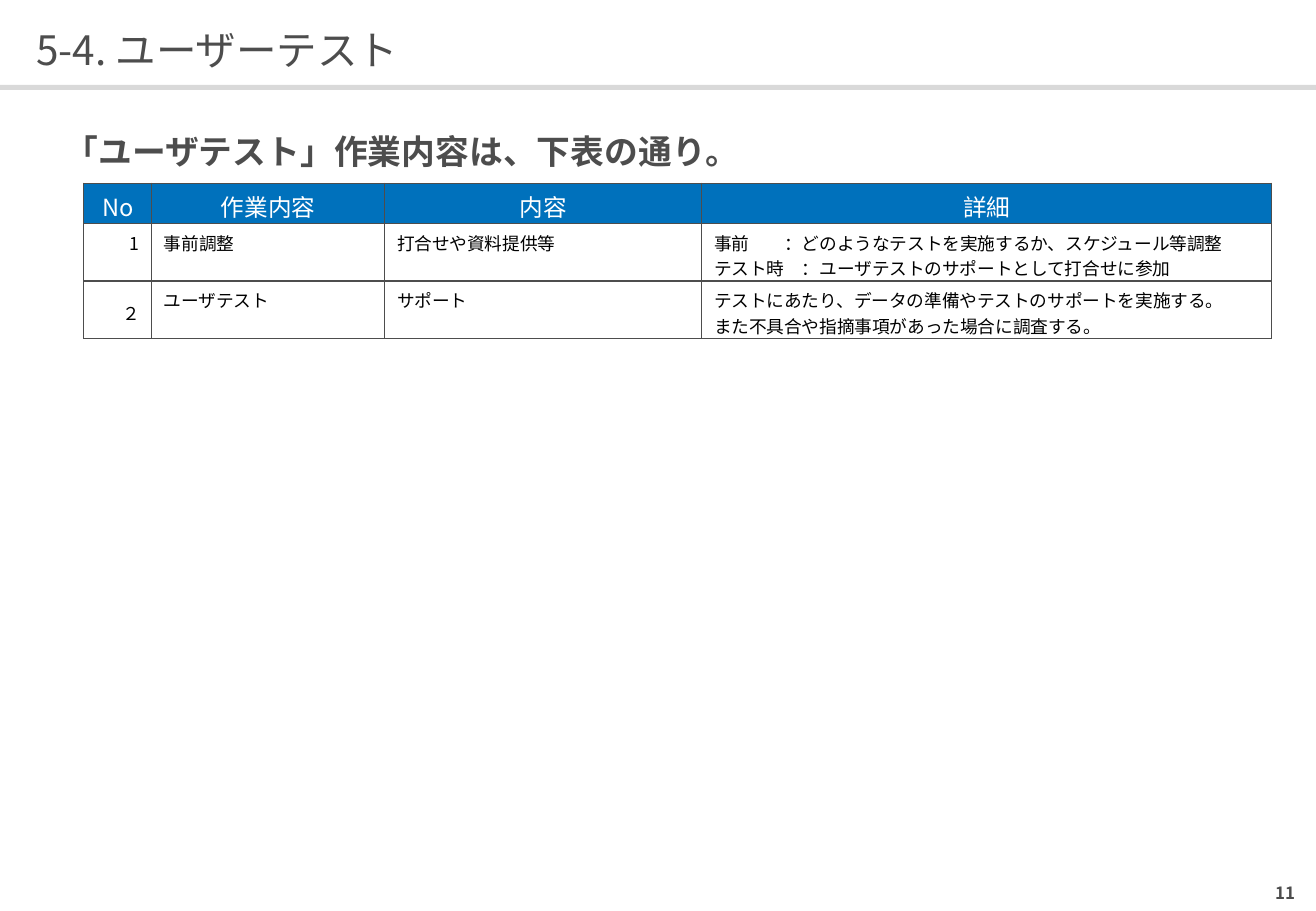
from dataclasses import dataclass

from pptx import Presentation
from pptx import util as u
from pptx.dml.color import RGBColor
from pptx.enum import shapes, text
from pptx.oxml import ns
from lxml import etree

Pt = u.Pt
ALIGN = text.PP_ALIGN
ANCHOR = text.MSO_ANCHOR


@dataclass(frozen=True)
class Theme:
    font: str = "Noto Sans CJK JP"
    gray: str = "4D4D4D"
    rule: str = "D9D9D9"
    blue: str = "0071BC"
    white: str = "FFFFFF"
    black: str = "000000"
    title_size: float = 24
    lead_size: float = 20
    header_size: float = 14
    body_size: float = 10.5
    page_size: float = 10
    border: float = 0.75


THEME = Theme()
TITLE_ONLY = 5

COLUMN_WIDTHS = [40.3, 138.2, 187.9, 337.7]
ROW_HEIGHTS = [24.2, 32.2, 32.2]
HEADER = ["No", "作業内容", "内容", "詳細"]
TASKS = [
    ["1", "事前調整", "打合せや資料提供等",
     "事前　　：どのようなテストを実施するか、スケジュール等調整\n"
     "テスト時　：ユーザテストのサポートとして打合せに参加"],
    ["２", "ユーザテスト", "サポート",
     "テストにあたり、データの準備やテストのサポートを実施する。\n"
     "また不具合や指摘事項があった場合に調査する。"],
]


def write(frame, content, *, size, color, bold=False, align=ALIGN.LEFT,
          line_spacing=None, space_after=None):
    """Fill a text frame, one paragraph for each line of content."""
    frame.text = content
    for para in frame.paragraphs:
        para.alignment = align
        para.line_spacing = line_spacing
        para.space_after = space_after
        for span in para.runs:
            font = span.font
            font.name = THEME.font
            font.size = Pt(size)
            font.bold = bold
            font.color.rgb = RGBColor.from_string(color)
            east_asian = etree.SubElement(font._element, ns.qn("a:ea"))
            east_asian.set("typeface", THEME.font)


def prepare_frame(frame, anchor):
    frame.margin_left = frame.margin_right = 0
    frame.margin_top = frame.margin_bottom = 0
    frame.word_wrap = True
    frame.auto_size = text.MSO_AUTO_SIZE.NONE
    frame.vertical_anchor = anchor


def add_text(page, content, left, top, width, height, *, anchor=ANCHOR.TOP, **style):
    box = page.shapes.add_textbox(Pt(left), Pt(top), Pt(width), Pt(height))
    prepare_frame(box.text_frame, anchor)
    write(box.text_frame, content, **style)


def set_title(page, content):
    title = page.shapes.title
    title.left, title.top, title.width, title.height = Pt(21.6), Pt(12.2), Pt(737.3), Pt(31)
    prepare_frame(title.text_frame, ANCHOR.MIDDLE)
    write(title.text_frame, content, size=THEME.title_size, color=THEME.gray,
          line_spacing=1.1)


def add_rule(page, top, width, height):
    rule = page.shapes.add_shape(shapes.MSO_SHAPE.RECTANGLE, 0, Pt(top), width, Pt(height))
    rule.shadow.inherit = False
    rule.fill.solid()
    rule.fill.fore_color.rgb = RGBColor.from_string(THEME.rule)
    rule.line.fill.background()


def add_borders(cell):
    properties = cell._tc.get_or_add_tcPr()
    for side in ("lnL", "lnR", "lnT", "lnB"):
        line = etree.SubElement(properties, ns.qn(f"a:{side}"), w=str(Pt(THEME.border)))
        fill = etree.SubElement(line, ns.qn("a:solidFill"))
        etree.SubElement(fill, ns.qn("a:srgbClr"), val=THEME.gray)


def fill_cell(cell, content, *, fill, anchor, **style):
    cell.margin_top, cell.margin_bottom = Pt(3.6), 0
    cell.vertical_anchor = anchor
    add_borders(cell)
    cell.fill.solid()
    cell.fill.fore_color.rgb = RGBColor.from_string(fill)
    write(cell.text_frame, content, **style)


def add_task_table(page, left, top):
    frame = page.shapes.add_table(
        len(ROW_HEIGHTS), len(COLUMN_WIDTHS), Pt(left), Pt(top),
        Pt(sum(COLUMN_WIDTHS)), Pt(sum(ROW_HEIGHTS)))
    table = frame.table
    table.first_row = table.horz_banding = False
    for column, width in zip(table.columns, COLUMN_WIDTHS):
        column.width = Pt(width)
    for row, height in zip(table.rows, ROW_HEIGHTS):
        row.height = Pt(height)
    for cell, label in zip(table.rows[0].cells, HEADER):
        fill_cell(cell, label, fill=THEME.blue, anchor=ANCHOR.MIDDLE,
                  size=THEME.header_size, color=THEME.white, align=ALIGN.CENTER)
    for row_index, task in enumerate(TASKS, start=1):
        for column_index, content in enumerate(task):
            is_number = column_index == 0
            centred = is_number and row_index == len(TASKS)
            fill_cell(table.cell(row_index, column_index), content, fill=THEME.white,
                      anchor=ANCHOR.MIDDLE if centred else ANCHOR.TOP,
                      size=THEME.body_size, color=THEME.black,
                      align=ALIGN.RIGHT if is_number else ALIGN.LEFT)


def main():
    deck = Presentation()
    deck.slide_width, deck.slide_height = Pt(780), Pt(540)
    page = deck.slides.add_slide(deck.slide_layouts[TITLE_ONLY])
    add_rule(page, 50.4, deck.slide_width, 2.9)
    set_title(page, "5-4. ユーザーテスト")
    add_text(page, "「ユーザテスト」作業内容は、下表の通り。", 38.2, 71.3, 691.9, 28.8,
             size=THEME.lead_size, color=THEME.gray, bold=True, align=ALIGN.JUSTIFY,
             line_spacing=Pt(30), space_after=Pt(12))
    add_text(page, "11", 585.4, 519.1, 182.2, 20.2, anchor=ANCHOR.MIDDLE,
             size=THEME.page_size, color=THEME.gray, bold=True, align=ALIGN.RIGHT)
    add_task_table(page, 49.7, 108.5)
    deck.save("out.pptx")


if __name__ == "__main__":
    main()
